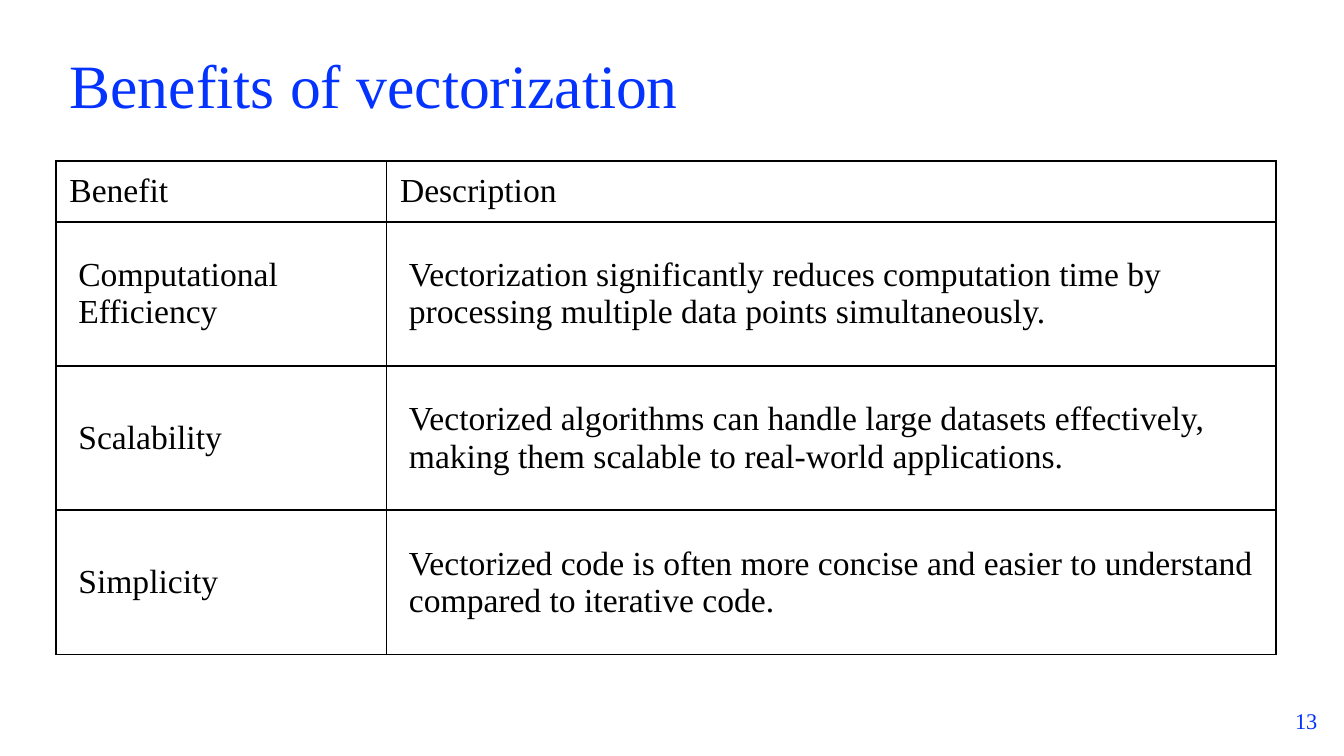
import pptx
import pptx.dml.color
import pptx.enum.text
import pptx.oxml
import pptx.oxml.ns
import pptx.util
from pptx.util import Inches

BLUE, BLACK, WHITE = "0432FF", "000000", "FFFFFF"
ALIGN = pptx.enum.text.PP_ALIGN
MIDDLE = pptx.enum.text.MSO_ANCHOR.MIDDLE


def color(value):
    return pptx.dml.color.RGBColor.from_string(value)


class SlideBuilder:
    font_name = "Times New Roman"
    border_points = 1

    def __init__(self, slide):
        self.slide = slide

    def style(self, paragraph, size, hue):
        paragraph.font.name = self.font_name
        paragraph.font.size = pptx.util.Pt(size)
        paragraph.font.color.rgb = color(hue)

    def text(self, content, box, size, align=ALIGN.LEFT, spacing=1.0):
        frame = self.slide.shapes.add_textbox(*map(Inches, box)).text_frame
        frame.word_wrap = True
        frame.vertical_anchor = MIDDLE
        paragraph = frame.paragraphs[0]
        paragraph.text = content
        paragraph.alignment = align
        paragraph.line_spacing = spacing
        self.style(paragraph, size, BLUE)

    def borders(self, cell):
        properties = cell._tc.get_or_add_tcPr()
        namespace = pptx.oxml.ns.nsdecls("a")
        width = pptx.util.Pt(self.border_points)
        for side in "LRTB":
            properties.append(pptx.oxml.parse_xml(
                f'<a:ln{side} {namespace} w="{width}"><a:solidFill>'
                f'<a:srgbClr val="{BLACK}"/></a:solidFill></a:ln{side}>'))

    def cell(self, cell, content, inset):
        cell.text = content
        cell.vertical_anchor = MIDDLE
        if inset:
            cell.margin_left = cell.margin_right = Inches(inset)
            cell.margin_top = cell.margin_bottom = Inches(inset)
        self.borders(cell)
        cell.fill.solid()
        cell.fill.fore_color.rgb = color(WHITE)
        self.style(cell.text_frame.paragraphs[0], 18, BLACK)

    def table(self, rows, left, top, widths, heights, body_inset):
        box = map(Inches, (left, top, sum(widths), sum(heights)))
        table = self.slide.shapes.add_table(len(rows), len(widths), *box).table
        table.first_row = table.horz_banding = False
        for column, width in zip(table.columns, widths):
            column.width = Inches(width)
        for index, (row, height) in enumerate(zip(table.rows, heights)):
            row.height = Inches(height)
            for cell, content in zip(row.cells, rows[index]):
                self.cell(cell, content, body_inset if index else None)


def main():
    deck = pptx.Presentation()
    deck.slide_width, deck.slide_height = Inches(10), Inches(10 * 9 / 16)
    builder = SlideBuilder(deck.slides.add_slide(deck.slide_layouts[6]))

    benefits = [
        ("Benefit", "Description"),
        ("Computational Efficiency",
         "Vectorization significantly reduces computation time by "
         "processing multiple data points simultaneously."),
        ("Scalability",
         "Vectorized algorithms can handle large datasets effectively, "
         "making them scalable to real-world applications."),
        ("Simplicity",
         "Vectorized code is often more concise and easier to understand "
         "compared to iterative code."),
    ]
    header_height, table_height = 0.45, 3.67
    body_height = (table_height - header_height) / 3
    heights = [header_height] + [body_height] * 3

    builder.text("Benefits of vectorization", (0.42, 0.3, 8.9, 0.72), 33, spacing=0.9)
    builder.text("13", (9.42, 5.21, 0.48, 0.3), 12, ALIGN.RIGHT)
    builder.table(benefits, 5 / 12, 1.2, (2.46, 6.62), heights, 1 / 6)
    deck.save("out.pptx")


if __name__ == "__main__":
    main()
